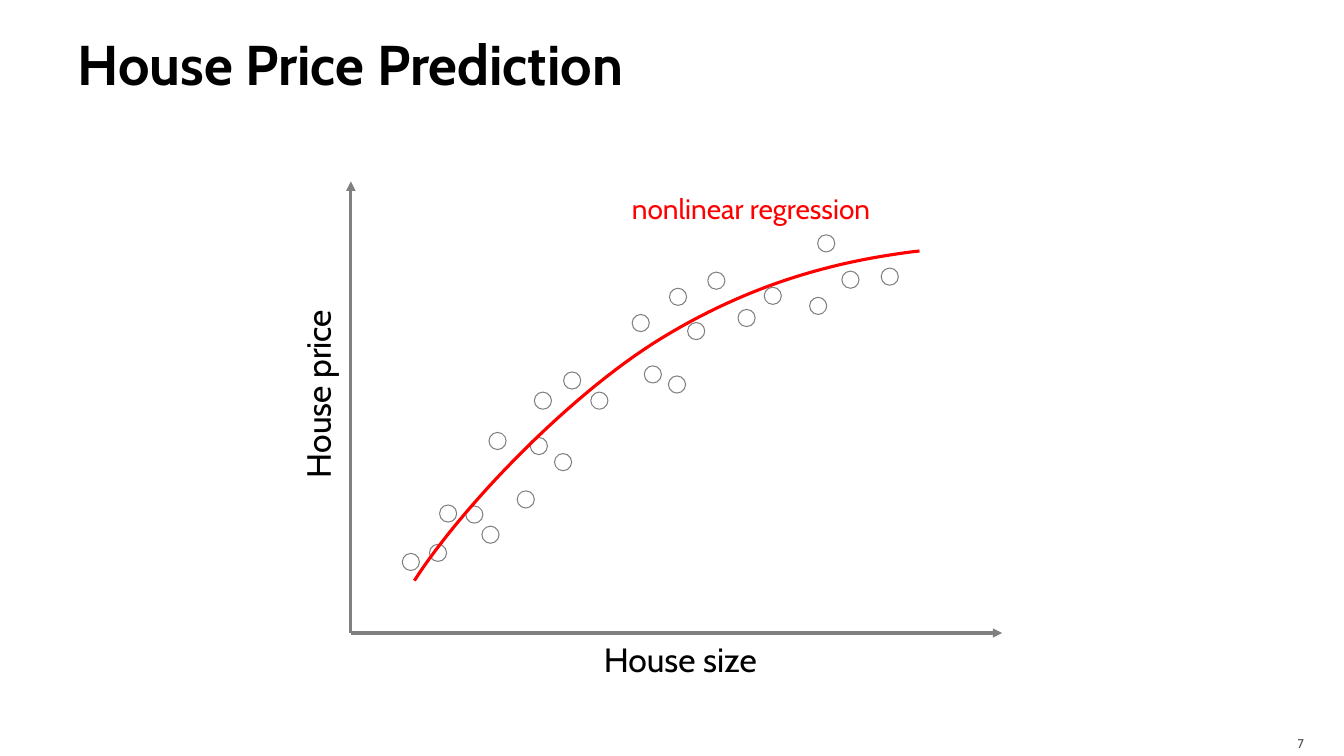
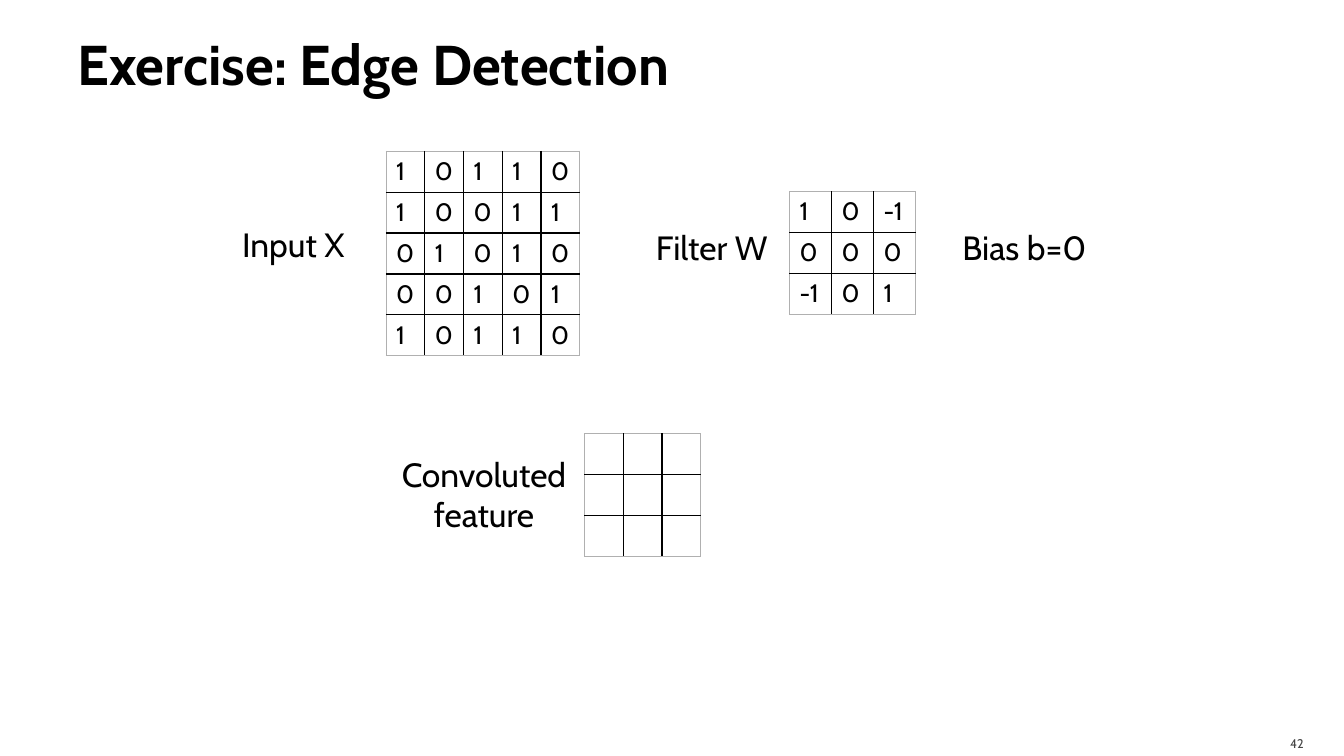
from lxml.etree import SubElement
from pptx import Presentation
from pptx.dml.color import RGBColor
from pptx.enum.shapes import MSO_CONNECTOR, MSO_SHAPE
from pptx.enum.text import MSO_ANCHOR, PP_ALIGN
from pptx.oxml.ns import qn
from pptx.util import Inches, Pt

FONT = "Cabin"
BLACK = RGBColor(0x00, 0x00, 0x00)
GRAY = RGBColor(0x80, 0x80, 0x80)
LIGHT_GRAY = RGBColor(0xB0, 0xB0, 0xB0)
DARK_GRAY = RGBColor(0x45, 0x45, 0x45)
RED = RGBColor(0xFF, 0x00, 0x00)

ORIGIN = (3.48, 6.28)
DOT_SIZE = 0.17
HOUSES = [
    (3.99, 5.49), (4.36, 5.01), (6.27, 3.12), (4.85, 4.29), (4.26, 5.4),
    (4.62, 5.02), (4.78, 5.22), (5.13, 4.87), (5.26, 4.34), (5.59, 3.69),
    (6.82, 3.2), (6.39, 3.63), (5.5, 4.5), (5.86, 3.89), (5.3, 3.89),
    (6.63, 3.73), (7.02, 2.7), (7.32, 3.07), (8.74, 2.66), (8.11, 2.33),
    (6.64, 2.86), (7.58, 2.85), (8.03, 2.95), (8.35, 2.69),
]
REGRESSION = [
    [(4.11, 5.76), (4.58, 5.03), (5.65, 3.91), (6.57, 3.35)],
    [(6.57, 3.35), (7.49, 2.79), (8.35, 2.58), (9.12, 2.49)],
]

INPUT_X = ["1 0 1 1 0", "1 0 0 1 1", "0 1 0 1 0", "0 0 1 0 1", "1 0 1 1 0"]
FILTER_W = ["1 0 -1", "0 0 0", "-1 0 1"]
LABEL_WIDTH = 2


def bezier_point(curve, t):
    weights = ((1 - t) ** 3, 3 * t * (1 - t) ** 2, 3 * t * t * (1 - t), t ** 3)
    return tuple(sum(w * c for w, c in zip(weights, axis)) for axis in zip(*curve))


class Deck:
    def __init__(self):
        self.prs = Presentation()
        self.prs.slide_width = Inches(13.33)
        self.prs.slide_height = Inches(7.5)
        self.s = None

    def slide(self, title, number):
        self.s = self.prs.slides.add_slide(self.prs.slide_layouts[6])
        self.text(title, 0.67, 0.09, 12, 1.08, size=40, bold=True,
                  anchor=MSO_ANCHOR.MIDDLE, insets=(0.1, 0.05, 0.05, 0.05))
        self.text(str(number), 11.96, 7.2, 1.07, 0.3, size=9, color=DARK_GRAY,
                  align=PP_ALIGN.RIGHT, anchor=MSO_ANCHOR.MIDDLE,
                  insets=(0.1, 0.05, 0.1, 0))

    def style(self, p, size, color=BLACK, bold=False):
        p.font.name = FONT
        p.font.size = Pt(size)
        p.font.color.rgb = color
        p.font.bold = bold

    def text(self, text, x, y, w, h, size=24, color=BLACK, bold=False,
             align=PP_ALIGN.LEFT, anchor=MSO_ANCHOR.TOP,
             insets=(0.1, 0.05, 0.1, 0.05), rotation=0):
        sp = self.s.shapes.add_textbox(Inches(x), Inches(y), Inches(w), Inches(h))
        sp.rotation = rotation
        tf = sp.text_frame
        tf.word_wrap = True
        tf.vertical_anchor = anchor
        (tf.margin_left, tf.margin_top,
         tf.margin_right, tf.margin_bottom) = map(Inches, insets)
        p = tf.paragraphs[0]
        p.text = text
        p.alignment = align
        self.style(p, size, color, bold)

    def label(self, text, center, y):
        """Caption beside a matrix, centred on a given x."""
        self.text(text, center - LABEL_WIDTH / 2, y, LABEL_WIDTH, 1,
                  align=PP_ALIGN.CENTER, insets=(0, 0, 0, 0))

    def arrow(self, start, end):
        line = self.s.shapes.add_connector(
            MSO_CONNECTOR.STRAIGHT, *map(Inches, start + end))
        line.line.color.rgb = GRAY
        line.line.width = Pt(2.25)
        SubElement(line.line._get_or_add_ln(), qn("a:tailEnd"), type="triangle")
        SubElement(line._element.spPr, qn("a:effectLst"))

    def outline(self, sp, color, width):
        sp.shadow.inherit = False
        sp.fill.background()
        sp.line.color.rgb = color
        sp.line.width = Pt(width)

    def dot(self, x, y):
        sp = self.s.shapes.add_shape(MSO_SHAPE.OVAL, Inches(x), Inches(y),
                                     Inches(DOT_SIZE), Inches(DOT_SIZE))
        self.outline(sp, GRAY, 0.75)

    def curve(self, pieces, steps=30):
        points = [tuple(map(Inches, bezier_point(piece, i / steps)))
                  for piece in pieces for i in range(1, steps + 1)]
        builder = self.s.shapes.build_freeform(*map(Inches, pieces[0][0]))
        builder.add_line_segments(points, close=False)
        self.outline(builder.convert_to_shape(), RED, 2.25)

    def matrix(self, rows, x, y, w, h):
        """Grid of values with black inner rules and a light frame."""
        n_rows, n_cols = len(rows), len(rows[0])
        table = self.s.shapes.add_table(
            n_rows, n_cols, Inches(x), Inches(y), Inches(w), Inches(h)).table
        table.first_row = table.horz_banding = False
        for i, row in enumerate(rows):
            for j, value in enumerate(row):
                cell = table.cell(i, j)
                p = cell.text_frame.paragraphs[0]
                p.text = value
                self.style(p, 18)
                self.borders(cell, {"lnL": j == 0, "lnR": j == n_cols - 1,
                                    "lnT": i == 0, "lnB": i == n_rows - 1})
                cell.fill.background()

    def borders(self, cell, outer_sides):
        tc_pr = cell._tc.get_or_add_tcPr()
        for side, outer in outer_sides.items():
            width, color = (0.5, LIGHT_GRAY) if outer else (1, BLACK)
            ln = SubElement(tc_pr, qn(f"a:{side}"), w=str(Pt(width)))
            fill = SubElement(ln, qn("a:solidFill"))
            SubElement(fill, qn("a:srgbClr"), val=str(color))


def price_prediction(deck):
    deck.slide("House Price Prediction", 7)
    deck.text("House size", 5.89, 6.29, 1.9, 0.5)
    deck.text("House price", 2.21, 3.65, 1.88, 0.5, rotation=270)
    deck.text("nonlinear regression", 5.95, 1.79, 3, 0.55, size=20, color=RED,
              align=PP_ALIGN.CENTER, anchor=MSO_ANCHOR.MIDDLE, insets=(0, 0, 0, 0))
    deck.arrow(ORIGIN, (ORIGIN[0], 1.8))
    deck.arrow(ORIGIN, (9.94, ORIGIN[1]))
    for x, y in HOUSES:
        deck.dot(x, y)
    deck.curve(REGRESSION)


def edge_detection(deck):
    deck.slide("Exercise: Edge Detection", 42)
    deck.matrix([row.split() for row in INPUT_X], 3.83, 1.5, 1.92, 2.03)
    deck.label("Input X", 2.91, 2.22)
    deck.label("Filter W", 7.06, 2.25)
    deck.label("Bias b=0", 10.16, 2.25)
    deck.matrix([row.split() for row in FILTER_W], 7.83, 1.9, 1.25, 1.22)
    deck.matrix([[""] * 3] * 3, 5.8, 4.3, 1.15, 1.22)
    deck.label("Convoluted\vfeature", 4.8, 4.5)


def main():
    deck = Deck()
    price_prediction(deck)
    edge_detection(deck)
    deck.prs.save("out.pptx")


if __name__ == "__main__":
    main()
